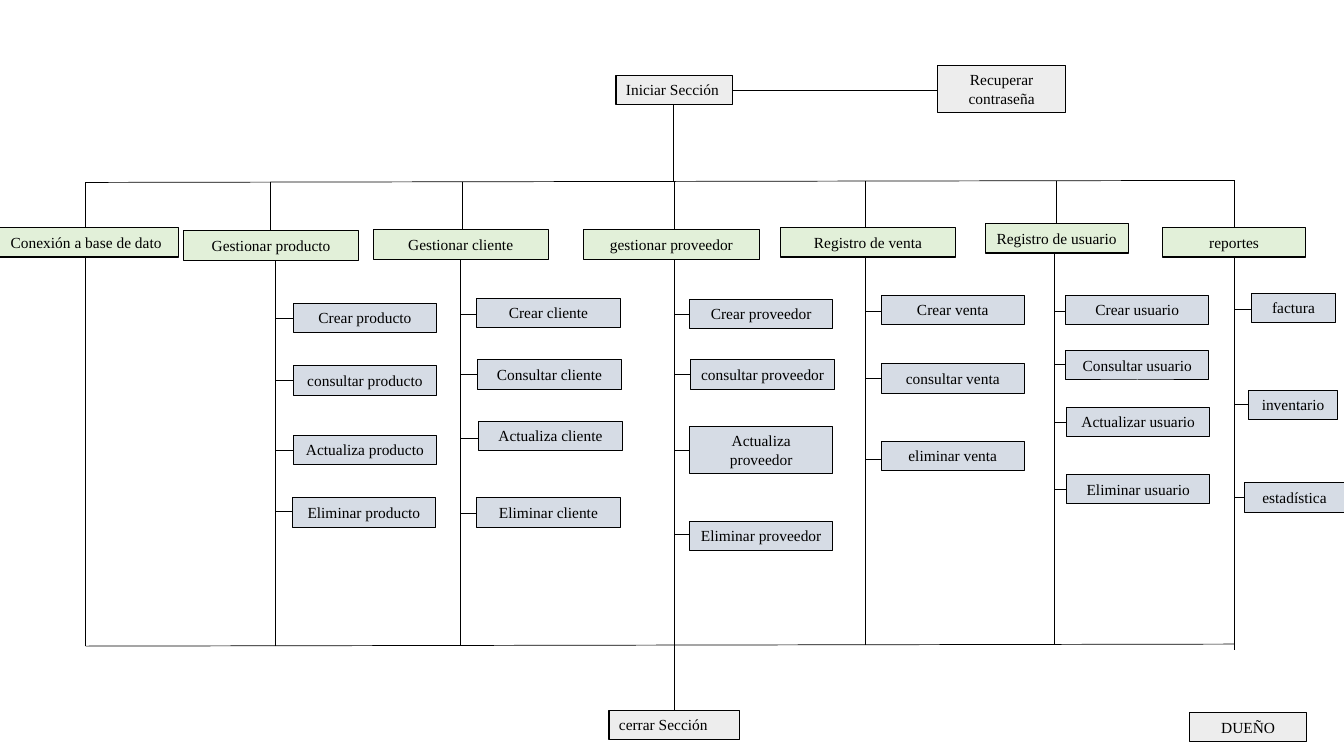
import pptx
import pptx.util
import pptx.dml.color
import pptx.enum.shapes
import pptx.enum.text
import pptx.oxml.ns
import lxml.etree
from dataclasses import dataclass

Inches = pptx.util.Inches
Align = pptx.enum.text.PP_ALIGN


@dataclass(frozen=True)
class Theme:
    """Colours, type and line sizes of the slide."""
    ink: str = "000000"
    gate: str = "EDEDED"
    head: str = "E2F0D9"
    task: str = "D6DCE5"
    font: str = "Times New Roman"
    size: float = 11
    edge: float = 0.75
    wire: float = 0.5


@dataclass
class Task:
    """A task box, placed relative to the head of its branch."""
    text: str
    x: float
    y: float
    wide: float = 1.42
    high: float = 0.29
    nudge: float = 0


@dataclass
class Branch:
    """A menu branch: head box, drop line, trunk line and tasks."""
    text: str
    box: tuple
    drop: float
    trunk: float
    tasks: tuple = ()
    tail: float = 0


THEME = Theme()
ROW = 0.29
LEFT, RIGHT = 0.85, 12.24
TOP, BASE = 1.81, 6.41
SLOPE = -0.02 / (RIGHT - LEFT)

BRANCHES = (
    Branch("Conexión a base de dato", (-0.06, 2.26, 1.83, ROW), 0.91, 0.91),
    Branch("Gestionar producto", (1.82, 2.29, 1.74, ROW), 0.86, 0.91, (
        Task("Crear producto", 1.09, 0.72),
        Task("consultar producto", 1.09, 1.34),
        Task("Actualiza producto", 1.09, 2.03),
        Task("Eliminar producto", 1.08, 2.65, nudge=-0.01))),
    Branch("Gestionar cliente", (3.7, 2.28, 1.74, ROW), 0.89, 0.87, (
        Task("Crear cliente", 1.03, 0.68, nudge=0.01),
        Task("Consultar cliente", 1.04, 1.29),
        Task("Actualiza cliente", 1.05, 1.9, nudge=0.02),
        Task("Eliminar cliente", 1.03, 2.66, nudge=0.01))),
    Branch("gestionar proveedor", (5.79, 2.28, 1.74, ROW), 0.9, 0.9, (
        Task("Crear proveedor", 1.05, 0.69),
        Task("consultar proveedor", 1.06, 1.29, wide=1.43),
        Task("Actualiza proveedor", 1.05, 1.95, high=0.47),
        Task("Eliminar proveedor", 1.05, 2.89, nudge=-0.01)), tail=0.66),
    Branch("Registro de venta", (7.74, 2.26, 1.74, ROW), 0.84, 0.84, (
        Task("Crear venta", 1, 0.67, nudge=0.01),
        Task("consultar venta", 1, 1.35),
        Task("eliminar venta", 1, 2.12, nudge=0.03))),
    Branch("Registro de usuario", (9.77, 2.22, 1.42, ROW), 0.71, 0.69, (
        Task("Crear usuario", 0.8, 0.71, nudge=0.01),
        Task("Consultar usuario", 0.8, 1.26, nudge=-0.01),
        Task("Actualizar usuario", 0.81, 1.82, nudge=0.01),
        Task("Eliminar usuario", 0.81, 2.49))),
    Branch("reportes", (11.53, 2.26, 1.42, ROW), 0.71, 0.71, (
        Task("factura", 0.88, 0.65, wide=0.84, nudge=0.01),
        Task("inventario", 0.85, 1.61, wide=0.89),
        Task("estadística", 0.81, 2.53, wide=1)), tail=0.06),
)


def tint(name):
    """Turn a hex string into a colour."""
    return pptx.dml.color.RGBColor.from_string(name)


def write(frame, text, align=Align.CENTER, size=THEME.size,
          font=THEME.font, color=THEME.ink):
    """Put formatted text into a text frame."""
    frame.word_wrap = True
    frame.auto_size = pptx.enum.text.MSO_AUTO_SIZE.SHAPE_TO_FIT_TEXT
    frame.vertical_anchor = pptx.enum.text.MSO_ANCHOR.TOP
    para = frame.paragraphs[0]
    para.alignment = align
    run = para.add_run()
    run.text = text
    run.font.size = pptx.util.Pt(size)
    run.font.name = font
    run.font.color.rgb = tint(color)


def block(slide, box, text, fill, **style):
    """Draw a bordered box with text."""
    kind = pptx.enum.shapes.MSO_SHAPE.RECTANGLE
    shape = slide.shapes.add_shape(kind, *map(Inches, box))
    shape.shadow.inherit = False
    shape.fill.solid()
    shape.fill.fore_color.rgb = tint(fill)
    shape.line.color.rgb = tint(THEME.ink)
    shape.line.width = pptx.util.Pt(THEME.edge)
    write(shape.text_frame, text, **style)


def wire(slide, start, end):
    """Draw a thin straight line between two points."""
    kind = pptx.enum.shapes.MSO_CONNECTOR.STRAIGHT
    line = slide.shapes.add_connector(kind, *map(Inches, start + end))
    line.line.color.rgb = tint(THEME.ink)
    line.line.width = pptx.util.Pt(THEME.wire)
    lxml.etree.SubElement(line._element.spPr, pptx.oxml.ns.qn("a:effectLst"))


def rail(base, x):
    """Give the height of a slightly sloping rail at x."""
    return base + SLOPE * (x - LEFT)


def draw_branch(slide, item):
    """Draw a branch from the top rail down to the base rail."""
    left, top, wide, high = item.box
    drop, trunk = left + item.drop, left + item.trunk
    wire(slide, (drop, rail(TOP, drop)), (drop, top))
    wire(slide, (trunk, top + high), (trunk, rail(BASE, trunk) + item.tail))
    block(slide, item.box, item.text, THEME.head)
    for task in item.tasks:
        x, y = left + task.x, top + task.y
        mid = y + task.high / 2 + task.nudge
        wire(slide, (trunk, mid), (x, mid))
        block(slide, (x, y, task.wide, task.high), task.text, THEME.task)


def draw_login(slide, box):
    """Draw the login box, its recovery box and their lines."""
    left, top, wide, high = box
    stem, mid = left + 0.57, top + high / 2
    wire(slide, (left + wide, mid), (left + 3.19, mid))
    wire(slide, (stem, top + high), (stem, TOP))
    block(slide, box, "Iniciar Sección", THEME.gate, align=Align.LEFT)
    block(slide, (left + 3.19, top - 0.1, 1.27, 0.47),
          "Recuperar contraseña", THEME.gate)


def draw_foot(slide, box):
    """Draw the logout box and the role box."""
    left, top, wide, high = box
    block(slide, box, "cerrar Sección", THEME.gate, align=Align.LEFT)
    block(slide, (left + 5.76, top + 0.02, 1.16, high), "DUEÑO", THEME.gate)


def main():
    """Build and save the slide."""
    deck = pptx.Presentation()
    deck.slide_width, deck.slide_height = Inches(13.33), Inches(7.5)
    slide = deck.slides.add_slide(deck.slide_layouts[6])
    draw_login(slide, (6.11, 0.75, 1.16, ROW))
    for base in (TOP, BASE):
        wire(slide, (LEFT, base), (RIGHT, rail(base, RIGHT)))
    for item in BRANCHES:
        draw_branch(slide, item)
    draw_foot(slide, (6.04, 7.05, 1.29, ROW))
    deck.save("out.pptx")


main()
